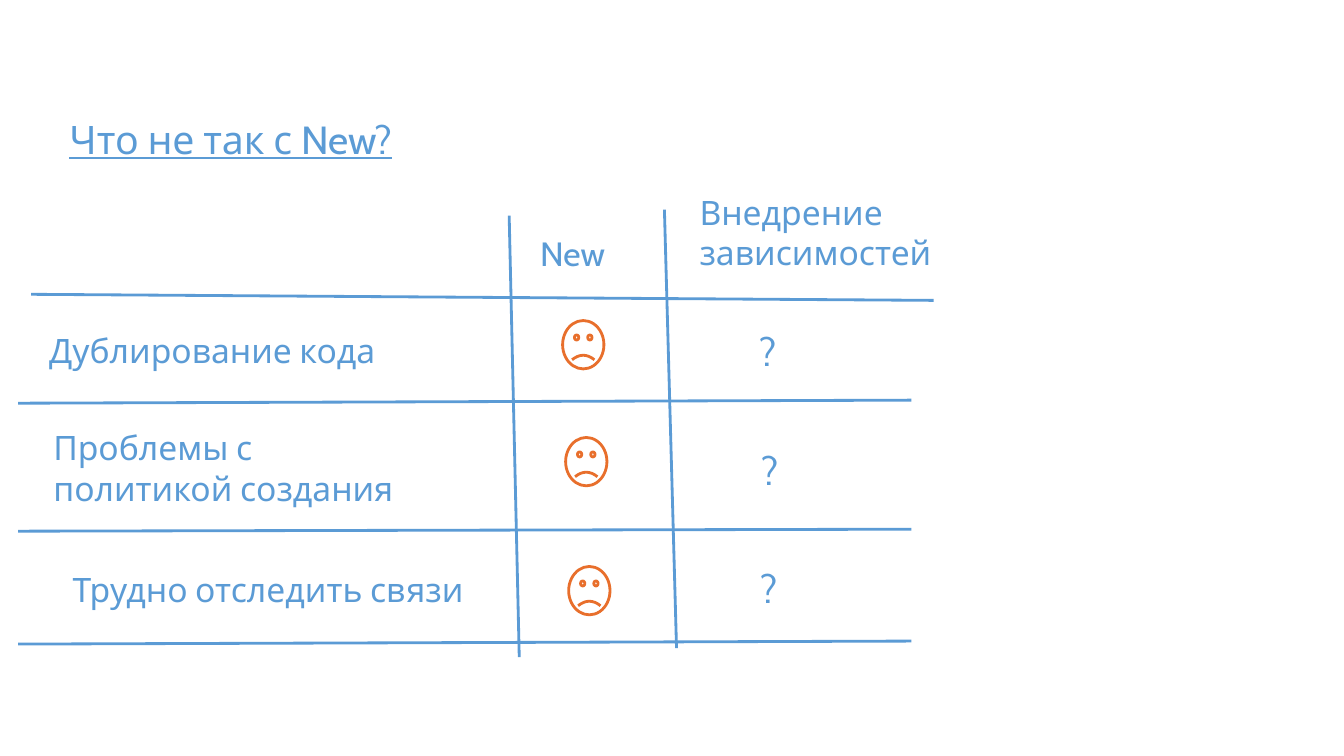
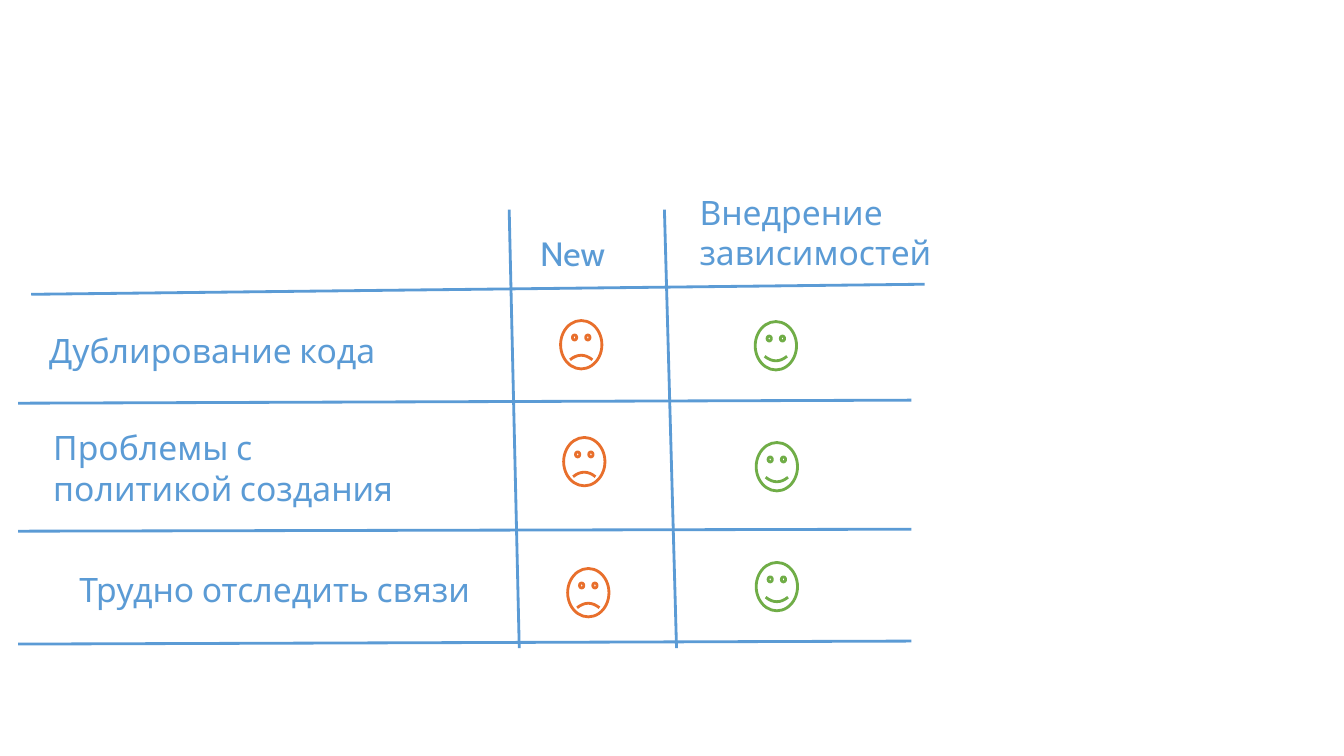
"""Builds two slides comparing New with dependency injection."""
from dataclasses import dataclass

from lxml.etree import SubElement
from pptx import Presentation
from pptx.dml.color import RGBColor
from pptx.enum.shapes import MSO_CONNECTOR, MSO_SHAPE
from pptx.enum.text import MSO_AUTO_SIZE, PP_ALIGN
from pptx.oxml.ns import qn
from pptx.slide import Slide
from pptx.util import Inches, Pt


@dataclass(frozen=True)
class Theme:
    font: str = "Cabin"
    blue: RGBColor = RGBColor(0x5B, 0x9B, 0xD5)
    orange: RGBColor = RGBColor(0xE8, 0x6F, 0x2C)
    green: RGBColor = RGBColor(0x70, 0xAD, 0x47)
    body_size: int = 24
    large_size: int = 28
    line_width: int = 2
    face_width: float = 0.41
    face_height: float = 0.48
    mouth_curve: float = 0.047


THEME = Theme()


@dataclass(frozen=True)
class Label:
    lines: tuple[str, ...]
    left: float
    top: float
    width: float
    size: int = THEME.body_size
    centered: bool = False
    underlined: bool = False

    @property
    def height(self) -> float:
        if self.size == THEME.large_size:
            return 0.57
        return 0.5 if len(self.lines) == 1 else 0.91


@dataclass(frozen=True)
class Rule:
    start: tuple[float, float]
    end: tuple[float, float]


@dataclass(frozen=True)
class Face:
    left: float
    top: float
    happy: bool = False


@dataclass(frozen=True)
class Comparison:
    labels: tuple[Label, ...]
    rules: tuple[Rule, ...]
    faces: tuple[Face, ...]


COLUMN_HEADS = (
    Label(("New",), 5.26, 2.26, 1.14),
    Label(("Внедрение", "зависимостей"), 6.84, 1.85, 3.6),
)
SHARED_RULES = (
    Rule((6.59, 2.08), (6.71, 6.43)),
    Rule((0.18, 4), (9.04, 3.97)),
    Rule((0.18, 5.27), (9.04, 5.25)),
    Rule((0.18, 6.39), (9.04, 6.36)),
)


def row_labels(
    duplication_width: float, policy_width: float, links_left: float, links_width: float
) -> tuple[Label, ...]:
    """Return the three row labels in boxes of the given widths."""
    return (
        Label(("Дублирование кода",), 0.39, 3.22, duplication_width),
        Label(("Проблемы с", "политикой создания"), 0.43, 4.19, policy_width),
        Label(("Трудно отследить связи",), links_left, 5.59, links_width, centered=True),
    )


def question_mark(left: float, top: float) -> Label:
    """Return a large question mark for an open cell."""
    return Label(("?",), left, top, 1.14, THEME.large_size)


COMPARISONS = (
    Comparison(
        labels=(
            Label(("Что не так с New?",), 0.59, 1.09, 5.69, THEME.large_size, underlined=True),
            *row_labels(3.67, 4.51, 0.26, 4.8),
            question_mark(7.43, 3.2),
            question_mark(7.45, 4.38),
            question_mark(7.44, 5.55),
        ),
        rules=(Rule((5.05, 2.14), (5.15, 6.52)), Rule((0.31, 2.92), (9.26, 2.98))),
        faces=(Face(5.58, 3.18), Face(5.61, 4.34), Face(5.64, 5.62)),
    ),
    Comparison(
        labels=row_labels(6.66, 8.36, -0.69, 6.83),
        rules=(Rule((5.05, 2.08), (5.15, 6.43)), Rule((0.31, 2.92), (9.17, 2.82))),
        faces=(
            Face(5.56, 3.18),
            Face(5.59, 4.34),
            Face(5.63, 5.64),
            Face(7.49, 3.19, happy=True),
            Face(7.5, 4.39, happy=True),
            Face(7.5, 5.58, happy=True),
        ),
    ),
)


def draw_label(slide: Slide, label: Label) -> None:
    """Draw a text box with one paragraph per line."""
    shape = slide.shapes.add_textbox(
        Inches(label.left), Inches(label.top), Inches(label.width), Inches(label.height)
    )
    frame = shape.text_frame
    frame.word_wrap = True
    frame.auto_size = MSO_AUTO_SIZE.SHAPE_TO_FIT_TEXT
    for index, line in enumerate(label.lines):
        paragraph = frame.add_paragraph() if index else frame.paragraphs[0]
        paragraph.alignment = PP_ALIGN.CENTER if label.centered else PP_ALIGN.LEFT
        run = paragraph.add_run()
        run.text = line
        run.font.name = THEME.font
        run.font.size = Pt(label.size)
        run.font.color.rgb = THEME.blue
        run.font.underline = label.underlined


def draw_rule(slide: Slide, rule: Rule) -> None:
    """Draw one straight line of the hand-ruled grid."""
    connector = slide.shapes.add_connector(
        MSO_CONNECTOR.STRAIGHT, *(Inches(length) for length in rule.start + rule.end)
    )
    connector.line.color.rgb = THEME.blue
    connector.line.width = Pt(THEME.line_width)
    SubElement(connector.element.spPr, qn("a:effectLst"))


def draw_face(slide: Slide, face: Face) -> None:
    """Draw a green smiling face or an orange frowning one."""
    shape = slide.shapes.add_shape(
        MSO_SHAPE.SMILEY_FACE,
        Inches(face.left),
        Inches(face.top),
        Inches(THEME.face_width),
        Inches(THEME.face_height),
    )
    shape.adjustments[0] = THEME.mouth_curve if face.happy else -THEME.mouth_curve
    shape.shadow.inherit = False
    shape.fill.background()
    shape.line.color.rgb = THEME.green if face.happy else THEME.orange
    shape.line.width = Pt(THEME.line_width)


def build() -> None:
    """Build and save the presentation."""
    presentation = Presentation()
    presentation.slide_width = Inches(13.33)
    presentation.slide_height = Inches(7.5)
    for comparison in COMPARISONS:
        slide = presentation.slides.add_slide(presentation.slide_layouts[6])
        for label in comparison.labels + COLUMN_HEADS:
            draw_label(slide, label)
        for rule in comparison.rules + SHARED_RULES:
            draw_rule(slide, rule)
        for face in comparison.faces:
            draw_face(slide, face)
    presentation.save("out.pptx")


build()
